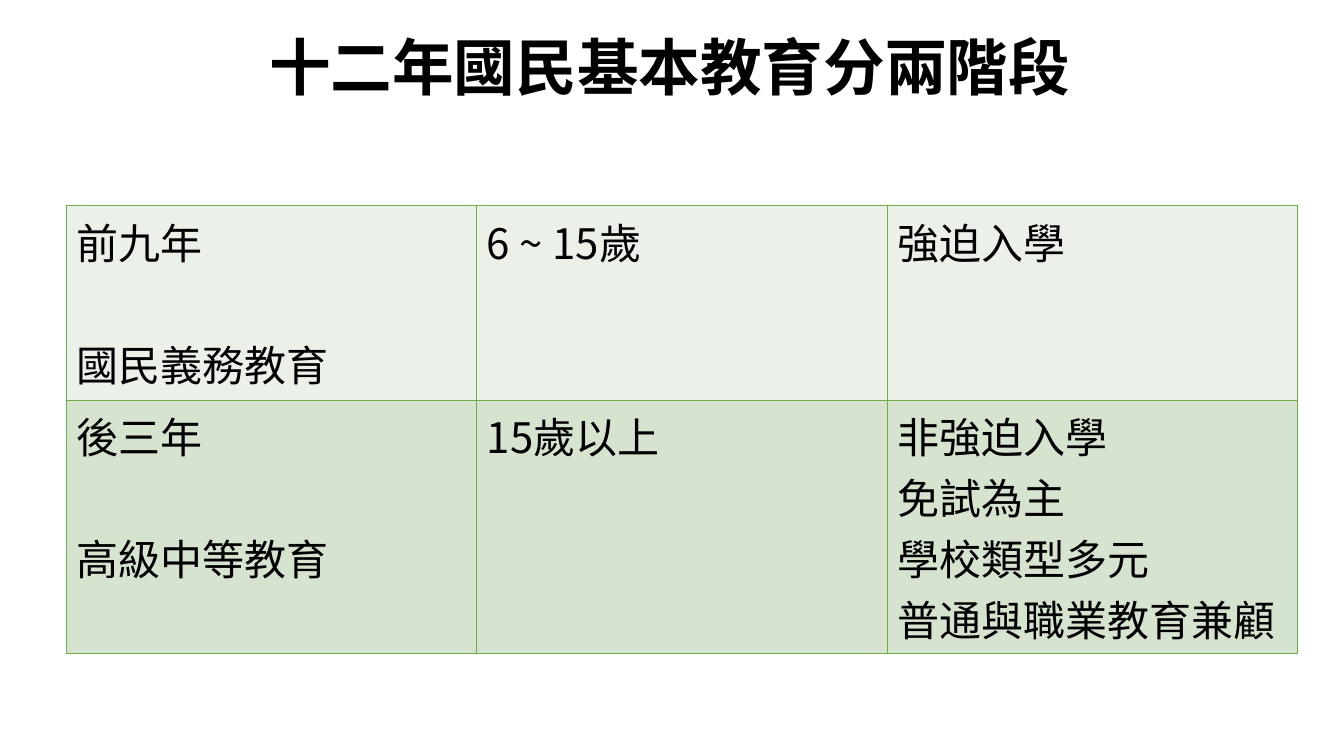
from pptx import Presentation, util as u
from pptx.dml.color import RGBColor
from pptx.enum import text
from pptx.oxml import parse_xml
from pptx.oxml.ns import nsdecls

TITLE = "十二年國民基本教育分兩階段"
STAGES = [
    {
        "cells": [["前九年", "國民義務教育"], ["6 ~ 15歲"], ["強迫入學"]],
        "fill": "EBF1E9",
        "height": 1.93,
    },
    {
        "cells": [
            ["後三年", "高級中等教育"],
            ["15歲以上"],
            ["非強迫入學", "免試為主", "學校類型多元", "普通與職業教育兼顧"],
        ],
        "fill": "D5E3CF",
        "height": 2.51,
    },
]
FONT = "Noto Sans CJK SC"
INK, BORDER = "000000", "70AD47"
TITLE_SIZE, BODY_SIZE, STAGE_GAP = 44, 30, 43.5
TABLE_LEFT, TABLE_TOP, COLUMN_WIDTH = 0.66, 2.04, 4.07
COLUMNS = len(STAGES[0]["cells"])


def color(value):
    return RGBColor.from_string(value)


def style(paragraph, size, bold=False):
    for run in paragraph.runs:
        font = run.font
        font.name, font.size, font.bold = FONT, u.Pt(size), bold
        font.color.rgb = color(INK)
        run._r.get_or_add_rPr().append(
            parse_xml(f'<a:ea {nsdecls("a")} typeface="{FONT}"/>')
        )


def outline(cell):
    properties = cell._tc.get_or_add_tcPr()
    for index, side in enumerate(("lnL", "lnR", "lnT", "lnB")):
        line = parse_xml(
            f'<a:{side} {nsdecls("a")} w="{u.Pt(1)}"><a:solidFill>'
            f'<a:srgbClr val="{BORDER}"/></a:solidFill></a:{side}>'
        )
        properties.insert(index, line)


def add_title(slide):
    title = slide.shapes.add_textbox(*map(u.Inches, (2.57, 0.24, 8.31, 0.93)))
    frame = title.text_frame
    frame.word_wrap = True
    frame.vertical_anchor = text.MSO_ANCHOR.MIDDLE
    frame.text = TITLE
    frame.paragraphs[0].line_spacing = 0.9
    style(frame.paragraphs[0], TITLE_SIZE, bold=True)


def add_stages(slide):
    stages = slide.shapes.add_table(
        len(STAGES),
        COLUMNS,
        u.Inches(TABLE_LEFT),
        u.Inches(TABLE_TOP),
        u.Inches(COLUMN_WIDTH * COLUMNS),
        u.Inches(sum(stage["height"] for stage in STAGES)),
    ).table
    stages.first_row = stages.horz_banding = False
    for column in stages.columns:
        column.width = u.Inches(COLUMN_WIDTH)
    for row, stage in zip(stages.rows, STAGES):
        row.height = u.Inches(stage["height"])
        for position, (cell, lines) in enumerate(zip(row.cells, stage["cells"])):
            cell.fill.solid()
            cell.fill.fore_color.rgb = color(stage["fill"])
            outline(cell)
            cell.text_frame.text = "\n".join(lines)
            for number, paragraph in enumerate(cell.text_frame.paragraphs):
                style(paragraph, BODY_SIZE)
                if position == 0 and number:
                    paragraph.space_before = u.Pt(STAGE_GAP)


def main():
    deck = Presentation()
    deck.slide_width, deck.slide_height = u.Inches(13.33), u.Inches(7.5)
    slide = deck.slides.add_slide(deck.slide_layouts[6])
    add_title(slide)
    add_stages(slide)
    deck.save("out.pptx")


if __name__ == "__main__":
    main()
